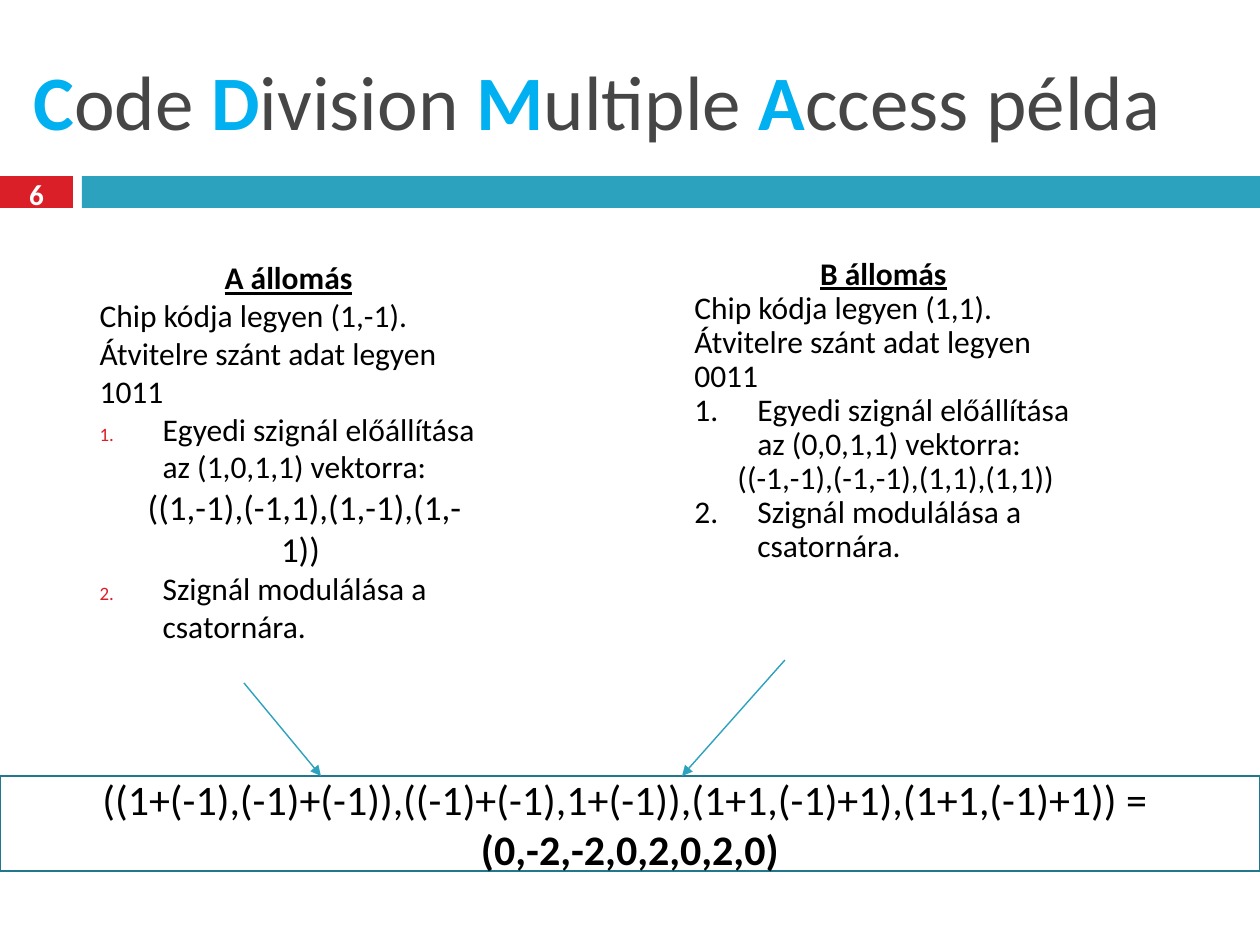
import lxml.etree
import pptx
import pptx.dml.color
import pptx.enum.shapes
import pptx.enum.text
import pptx.oxml.ns
import pptx.util

RGBColor = pptx.dml.color.RGBColor
ALIGN = pptx.enum.text.PP_ALIGN
MIDDLE = pptx.enum.text.MSO_ANCHOR.MIDDLE
TOP = pptx.enum.text.MSO_ANCHOR.TOP

RED = RGBColor(0xDA, 0x1F, 0x28)
TEAL = RGBColor(0x2D, 0xA2, 0xBF)
DARK_TEAL = RGBColor(0x21, 0x78, 0x8D)
SKY = RGBColor(0x00, 0xB0, 0xF0)
GRAY = RGBColor(0x46, 0x46, 0x46)
BLACK = RGBColor(0, 0, 0)
WHITE = RGBColor(0xFF, 0xFF, 0xFF)


def px(length):
    return pptx.util.Emu(round(length * 914400 / 126))


def add_xml(parent, tag, **attributes):
    return lxml.etree.SubElement(parent, pptx.oxml.ns.qn(tag), attributes)


def apply(target, formats):
    for name, value in formats.items():
        setattr(target, name, value)


class SlideBuilder:
    font = "Calibri"

    def __init__(self, slide):
        self.slide = slide

    def place(self, shape, box):
        apply(shape, dict(zip(("left", "top", "width", "height"), map(px, box))))

    def frame(self, shape, anchor):
        frame = shape.text_frame
        apply(frame, {"word_wrap": True, "vertical_anchor": anchor,
                      "auto_size": pptx.enum.text.MSO_AUTO_SIZE.NONE})
        return frame

    def runs(self, paragraph, pieces, size, align=ALIGN.LEFT):
        paragraph.alignment = align
        for text, color, style in pieces:
            for index, part in enumerate(text.split("\n")):
                if index:
                    paragraph.add_line_break()
                if part:
                    run = paragraph.add_run()
                    run.text = part
                    apply(run.font, {"name": self.font, "size": pptx.util.Pt(size), **style})
                    run.font.color.rgb = color

    def title(self, box, pieces, size):
        heading = self.slide.shapes.title
        self.place(heading, box)
        self.runs(self.frame(heading, MIDDLE).paragraphs[0], pieces, size)

    def body(self, box, steps, **options):
        column = self.slide.placeholders[1]
        self.place(column, box)
        self.steps(column, steps, **options)

    def text_column(self, box, steps, **options):
        column = self.slide.shapes.add_textbox(*map(px, box))
        self.steps(column, steps, **options)

    def steps(self, column, steps, spacing=1.0, signal_size=18, number_color=None):
        frame = self.frame(column, TOP)
        for index, (kind, text) in enumerate(steps):
            paragraph = frame.add_paragraph() if index else frame.paragraphs[0]
            apply(paragraph, {"line_spacing": spacing, "space_before": pptx.util.Pt(0),
                              "level": int(kind == "signal")})
            centered = kind in ("heading", "signal")
            heading = kind == "heading"
            self.runs(paragraph, [(text, BLACK, {"bold": heading, "underline": heading})],
                      signal_size if kind == "signal" else 18,
                      ALIGN.CENTER if centered else ALIGN.LEFT)
            margin, indent = {"signal": (32, 0), "step": (63, -63)}.get(kind, (0, 0))
            properties = paragraph._p.get_or_add_pPr()
            properties.set("marL", str(px(margin)))
            properties.set("indent", str(px(indent)))
            if kind != "step":
                add_xml(properties, "a:buNone")
                continue
            if number_color:
                add_xml(add_xml(properties, "a:buClr"), "a:srgbClr", val=str(number_color))
                add_xml(properties, "a:buSzPct", val="60000")
            add_xml(properties, "a:buFont", typeface="+mj-lt")
            add_xml(properties, "a:buAutoNum", type="arabicPeriod")

    def rectangle(self, box, fill=None, outline=None):
        shape = self.slide.shapes.add_shape(
            pptx.enum.shapes.MSO_SHAPE.RECTANGLE, *map(px, box))
        shape.shadow.inherit = False
        if fill:
            shape.fill.solid()
            shape.fill.fore_color.rgb = fill
        else:
            shape.fill.background()
        if outline:
            shape.line.color.rgb = outline
            shape.line.width = pptx.util.Pt(1.5)
        else:
            shape.line.fill.background()
        return shape

    def result(self, box, pieces, size):
        frame = self.frame(self.rectangle(box, outline=DARK_TEAL), MIDDLE)
        self.runs(frame.paragraphs[0], pieces, size, ALIGN.CENTER)

    def label(self, box, text, size):
        frame = self.frame(self.slide.shapes.add_textbox(*map(px, box)), MIDDLE)
        self.runs(frame.paragraphs[0], [(text, WHITE, {"bold": True})], size, ALIGN.CENTER)

    def arrow(self, start, end):
        arrow = self.slide.shapes.add_connector(
            pptx.enum.shapes.MSO_CONNECTOR.STRAIGHT, *map(px, start + end))
        arrow.line.color.rgb = TEAL
        arrow.line.width = pptx.util.Pt(0.79)
        properties = arrow._element.spPr
        add_xml(properties.find(pptx.oxml.ns.qn("a:ln")), "a:tailEnd", type="triangle")
        add_xml(properties, "a:effectLst")


def station(name, chip, data, vector, signal):
    return [
        ("heading", f"{name} állomás"),
        ("plain", f"Chip kódja legyen {chip}."),
        ("plain", f"Átvitelre szánt adat legyen {data}"),
        ("step", f"Egyedi szignál előállítása az {vector} vektorra:"),
        ("signal", f"{signal} "),
        ("step", "Szignál modulálása a csatornára."),
    ]


def main():
    deck = pptx.Presentation()
    apply(deck, {"slide_width": px(1260), "slide_height": px(945)})
    builder = SlideBuilder(deck.slides.add_slide(deck.slide_layouts[1]))

    builder.rectangle((0, 176, 73, 32), fill=RED)
    builder.rectangle((82, 176, 1178, 32), fill=TEAL)

    title = []
    for word in ("Code ", "Division ", "Multiple ", "Access példa"):
        title += [(word[0], SKY, {"bold": True}), (word[1:], GRAY, {"bold": False})]
    builder.title((21, 32, 1218, 136), title, 44)

    builder.body(
        (87, 252, 403, 281),
        station("A", "(1,-1)", "1011", "(1,0,1,1)", "((1,-1),(-1,1),(1,-1),(1,-1))"),
        signal_size=20, number_color=RED)
    builder.text_column(
        (682, 252, 403, 281),
        station("B", "(1,1)", "0011", "(0,0,1,1)", "((-1,-1),(-1,-1),(1,1),(1,1))"),
        spacing=0.9)

    builder.result((0, 776, 1260, 95), [
        ("((1+(-1),(-1)+(-1)),((-1)+(-1),1+(-1)),(1+1,(-1)+1),(1+1,(-1)+1)) = \n", BLACK, {}),
        ("(0,-2,-2,0,2,0,2,0)", BLACK, {"bold": True}),
    ], 24)
    builder.arrow((244, 683), (321, 776))
    builder.arrow((785, 660), (682, 776))
    builder.label((0, 173, 73, 42), "6", 16.6)
    deck.save("out.pptx")


if __name__ == "__main__":
    main()
